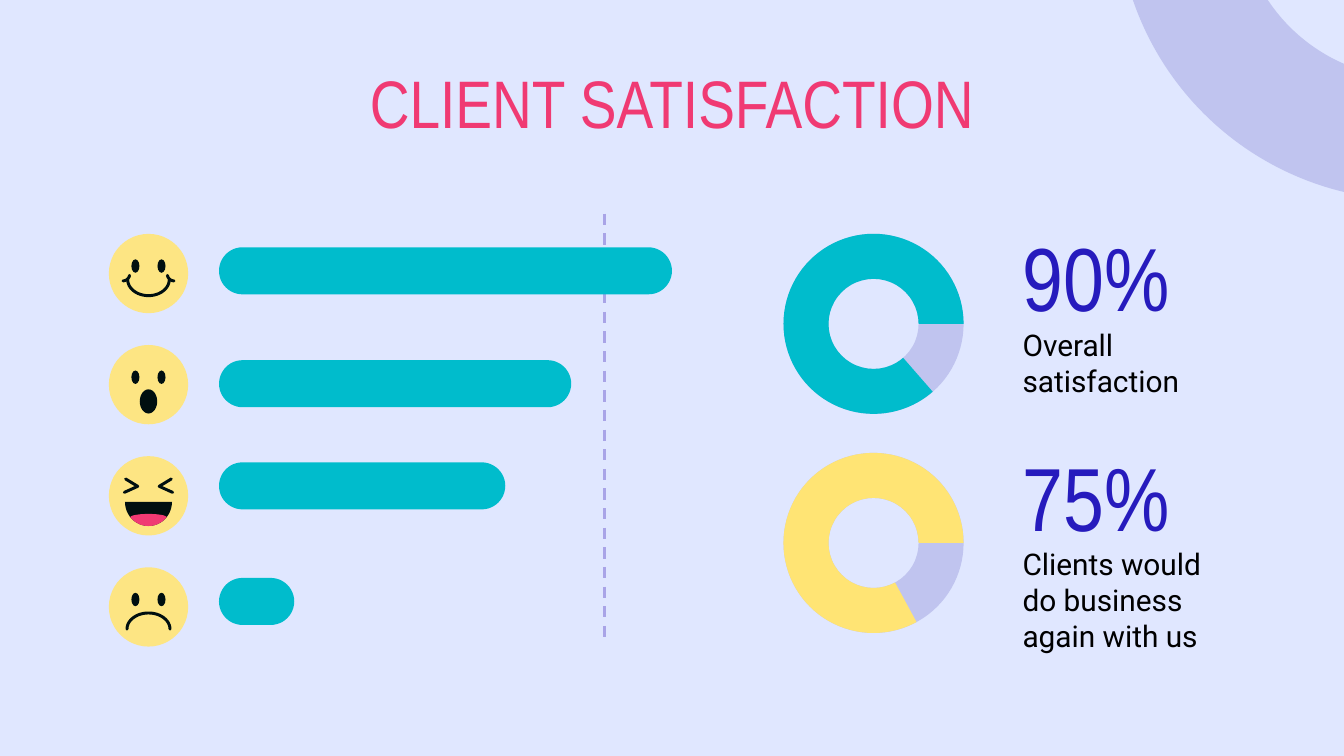
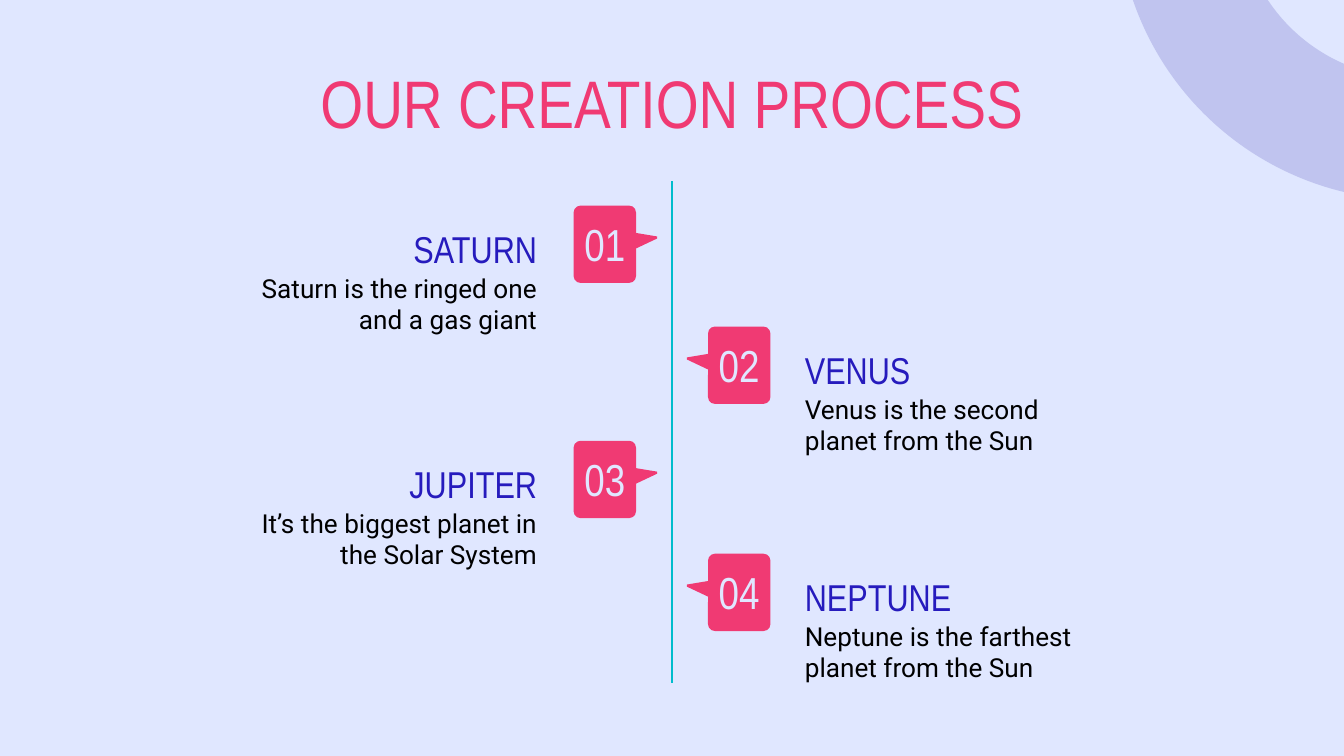
from dataclasses import dataclass
from math import cos, radians, sin

from lxml import etree
from pptx import Presentation
from pptx.dml.color import RGBColor
from pptx.enum.dml import MSO_LINE
from pptx.enum.shapes import MSO_CONNECTOR, MSO_SHAPE
from pptx.enum.text import MSO_ANCHOR, PP_ALIGN
from pptx.oxml.ns import qn
from pptx.util import Emu, Inches, Pt

SLIDE_WIDTH, SLIDE_HEIGHT = Inches(10), Inches(5.625)
COLUMNS, ROWS = 100, 56.25
BACKGROUND, PINK, INDIGO, BLACK = "E0E7FF", "F03A73", "261BBD", "000000"
TEAL, YELLOW, VIOLET, DASH_COLOR = "00BCCC", "FFE474", "1B129C", "A9A4E7"
SKIN, INK = "FDE583", "000F10"
HEADING_FONT, BODY_FONT = "Arial Narrow", "Roboto"
LEFT, CENTER, RIGHT = PP_ALIGN.LEFT, PP_ALIGN.CENTER, PP_ALIGN.RIGHT
TOP, MIDDLE = MSO_ANCHOR.TOP, MSO_ANCHOR.MIDDLE
OVAL, ROUNDED = MSO_SHAPE.OVAL, MSO_SHAPE.ROUNDED_RECTANGLE
DONUT, BLOCK_ARC = MSO_SHAPE.DONUT, MSO_SHAPE.BLOCK_ARC
STRAIGHT, DASH = MSO_CONNECTOR.STRAIGHT, MSO_LINE.DASH
FACE_X, FACE_Y, FACE_PITCH, FACE_SIZE = 11.05, 20.35, 8.27, 5.9

Point = tuple[float, float]


@dataclass(frozen=True)
class Box:
    left: float
    top: float
    width: float
    height: float

    def lengths(self) -> tuple[Emu, Emu, Emu, Emu]:
        return (column(self.left), row(self.top),
                column(self.width), row(self.height))


@dataclass(frozen=True)
class TextStyle:
    size: float
    color: str
    font: str = HEADING_FONT
    anchor: MSO_ANCHOR = TOP
    space_after: float = 0


@dataclass(frozen=True)
class Bar:
    top: float
    width: float


@dataclass(frozen=True)
class Gauge:
    top: float
    angle: float
    color: str
    value: str
    caption: str
    caption_width: float


@dataclass(frozen=True)
class Step:
    number: str
    name: str
    description: str
    top: float
    on_left: bool


TITLE = TextStyle(36, PINK)
PERCENT = TextStyle(48, INDIGO, anchor=MIDDLE)
CAPTION = TextStyle(16, BLACK, BODY_FONT, space_after=16)
STEP_NAME = TextStyle(20, INDIGO)
STEP_TEXT = TextStyle(14, BLACK, BODY_FONT, space_after=16)
STEP_NUMBER = TextStyle(24, BACKGROUND, anchor=MIDDLE)

BARS = [Bar(18.4, 33.7), Bar(26.8, 26.2), Bar(34.4, 21.3), Bar(43, 5.6)]
GAUGES = [
    Gauge(17.4, 29.35, TEAL, "90%", "Overall satisfaction", 14.1),
    Gauge(33.7, 36.88, YELLOW, "75%",
          "Clients would do business again with us", 17.9),
]
STEPS = [
    Step("01", "SATURN", "Saturn is the ringed one and a gas giant", 15.3, True),
    Step("02", "VENUS", "Venus is the second planet from the Sun", 24.3, False),
    Step("03", "JUPITER", "It’s the biggest planet in the Solar System", 32.8, True),
    Step("04", "NEPTUNE", "Neptune is the farthest planet from the Sun", 41.2, False),
]


def column(count: float) -> Emu:
    return Emu(round(SLIDE_WIDTH * count / COLUMNS))


def row(count: float) -> Emu:
    return Emu(round(SLIDE_HEIGHT * count / ROWS))


def rgb(color: str) -> RGBColor:
    return RGBColor.from_string(color)


def paint(shape, color: str, alpha: int = 100) -> None:
    shape.shadow.inherit = False
    shape.line.fill.background()
    shape.fill.solid()
    shape.fill.fore_color.rgb = rgb(color)
    if alpha < 100:
        fill_color = shape._element.spPr.find(qn("a:solidFill"))[0]
        etree.SubElement(fill_color, qn("a:alpha"), val=str(alpha * 1000))


def add_preset(slide, kind: MSO_SHAPE, box: Box, color: str,
               adjustments: tuple[float, ...] = (), alpha: int = 100) -> None:
    shape = slide.shapes.add_shape(kind, *box.lengths())
    for index, value in enumerate(adjustments):
        shape.adjustments[index] = value
    paint(shape, color, alpha)


def add_oval(slide, x: float, y: float, width: float, height: float,
             color: str) -> None:
    add_preset(slide, OVAL,
               Box(x - width / 2, y - height / 2, width, height), color)


def outline(slide, points: list[Point], closed: bool):
    start, *others = [(column(x), row(y)) for x, y in points]
    builder = slide.shapes.build_freeform(*start, scale=1.0)
    builder.add_line_segments(others, close=closed)
    return builder.convert_to_shape()


def add_polygon(slide, points: list[Point], color: str) -> None:
    paint(outline(slide, points, True), color)


def add_stroke(slide, points: list[Point], color: str = INK,
               width: float = 1.6) -> None:
    shape = outline(slide, points, False)
    shape.shadow.inherit = False
    shape.fill.background()
    shape.line.color.rgb = rgb(color)
    shape.line.width = Pt(width)
    shape._element.spPr.find(qn("a:ln")).set("cap", "rnd")


def arc(x: float, y: float, radius_x: float, radius_y: float,
        start: float, end: float, steps: int = 24) -> list[Point]:
    angles = [radians(start + (end - start) * i / steps)
              for i in range(steps + 1)]
    return [(x + radius_x * cos(a), y + radius_y * sin(a)) for a in angles]


def add_line(slide, x: float, top: float, bottom: float, color: str,
             dash: MSO_LINE | None = None) -> None:
    line = slide.shapes.add_connector(
        STRAIGHT, column(x), row(top), column(x), row(bottom))
    line.line.color.rgb = rgb(color)
    line.line.width = Pt(1.5)
    if dash is not None:
        line.line.dash_style = dash
    etree.SubElement(line._element.spPr, qn("a:effectLst"))


def add_text(slide, box: Box, text: str, style: TextStyle,
             alignment: PP_ALIGN = LEFT) -> None:
    frame = slide.shapes.add_textbox(*box.lengths()).text_frame
    frame.word_wrap = True
    frame.vertical_anchor = style.anchor
    frame.margin_left = frame.margin_right = column(1)
    frame.margin_top = frame.margin_bottom = row(1)
    paragraph = frame.paragraphs[0]
    paragraph.text = text
    paragraph.alignment = alignment
    paragraph.space_after = Pt(style.space_after)
    paragraph.font.size = Pt(style.size)
    paragraph.font.name = style.font
    paragraph.font.color.rgb = rgb(style.color)


def add_titled_slide(presentation, title: str):
    slide = presentation.slides.add_slide(presentation.slide_layouts[6])
    slide.background.fill.solid()
    slide.background.fill.fore_color.rgb = rgb(BACKGROUND)
    add_preset(slide, DONUT, Box(83.1, -29.2, 44.1, 44.1), VIOLET, (0.206,), 16)
    add_text(slide, Box(20.2, 3.6, 59.6, 8.6), title, TITLE, CENTER)
    return slide


def add_round_eyes(slide, y: float) -> None:
    for side in (-1, 1):
        add_oval(slide, FACE_X + side * 0.97, y - 0.55, 0.6, 1, INK)


def add_smile(slide, y: float) -> None:
    add_round_eyes(slide, y)
    add_stroke(slide, arc(FACE_X, y + 0.45, 1.55, 1.2, 0, 180))
    for side in (-1, 1):
        add_stroke(slide, arc(FACE_X + side * 1.9, y + 0.05,
                              -side * 0.5, 0.5, 10, 90, 6))


def add_surprise(slide, y: float) -> None:
    add_round_eyes(slide, y)
    add_oval(slide, FACE_X, y + 1.25, 1.3, 1.8, INK)


def add_laugh(slide, y: float) -> None:
    for side in (-1, 1):
        add_stroke(slide, [(FACE_X + side * dx, y + dy) for dx, dy in
                           ((1.7, -1.25), (0.8, -0.7), (1.8, -0.25))])
    add_polygon(slide, arc(FACE_X, y + 0.45, 1.75, 1.8, 0, 180), INK)
    add_polygon(slide, arc(FACE_X, y + 0.45, 1.75, 1.8, 40, 140)
                + arc(FACE_X, y + 1.6, 1.35, 0.25, 180, 360), PINK)


def add_frown(slide, y: float) -> None:
    add_round_eyes(slide, y)
    add_stroke(slide, arc(FACE_X, y + 1.65, 1.6, 1.2, 180, 360))


def add_gauge(slide, gauge: Gauge) -> None:
    ring = Box(58.3, gauge.top, 13.4, 13.4)
    add_preset(slide, DONUT, ring, VIOLET, (0.25,), 16)
    add_preset(slide, BLOCK_ARC, ring, gauge.color, (gauge.angle, 0, 0.25))
    add_text(slide, Box(75.1, gauge.top, 17.9, 6.3), gauge.value, PERCENT)
    add_text(slide, Box(75.1, gauge.top + 5.9, gauge.caption_width, 8.1),
             gauge.caption, CAPTION)


def add_step(slide, step: Step) -> None:
    side = -1 if step.on_left else 1
    center = 50 + side * 5
    add_preset(slide, ROUNDED, Box(center - 2.32, step.top, 4.64, 5.75),
               PINK, (0.11,))
    base, tip = 50 + side * 2.9, 50 + side * 1.1
    add_polygon(slide, [(base, step.top + 2), (tip, step.top + 2.3),
                        (tip, step.top + 2.45), (base, step.top + 3.3)], PINK)
    add_text(slide, Box(center - 5, step.top + 1.15, 10, 3.4), step.number,
             STEP_NUMBER, CENTER)
    alignment = RIGHT if step.on_left else LEFT
    for width, height, offset, text, style in (
            (20.8, 6.3, 0.5, step.name, STEP_NAME),
            (24, 9.3, 3.95, step.description, STEP_TEXT)):
        left = 40.95 - width if step.on_left else 58.9
        add_text(slide, Box(left, step.top + offset, width, height), text,
                 style, alignment)


def build_satisfaction(presentation) -> None:
    slide = add_titled_slide(presentation, "CLIENT SATISFACTION")
    add_line(slide, 45, 15.9, 47.7, DASH_COLOR, DASH)
    for index, add_features in enumerate(
            (add_smile, add_surprise, add_laugh, add_frown)):
        y = FACE_Y + index * FACE_PITCH
        add_oval(slide, FACE_X, y, FACE_SIZE, FACE_SIZE, SKIN)
        add_features(slide, y)
    for bar in BARS:
        add_preset(slide, ROUNDED, Box(16.3, bar.top, bar.width, 3.5),
                   TEAL, (0.5,))
    for gauge in GAUGES:
        add_gauge(slide, gauge)


def build_process(presentation) -> None:
    slide = add_titled_slide(presentation, "OUR CREATION PROCESS")
    add_line(slide, 50, 13.5, 50.8, TEAL)
    for step in STEPS:
        add_step(slide, step)


def main() -> None:
    presentation = Presentation()
    presentation.slide_width = SLIDE_WIDTH
    presentation.slide_height = SLIDE_HEIGHT
    build_satisfaction(presentation)
    build_process(presentation)
    presentation.save("out.pptx")


if __name__ == "__main__":
    main()
